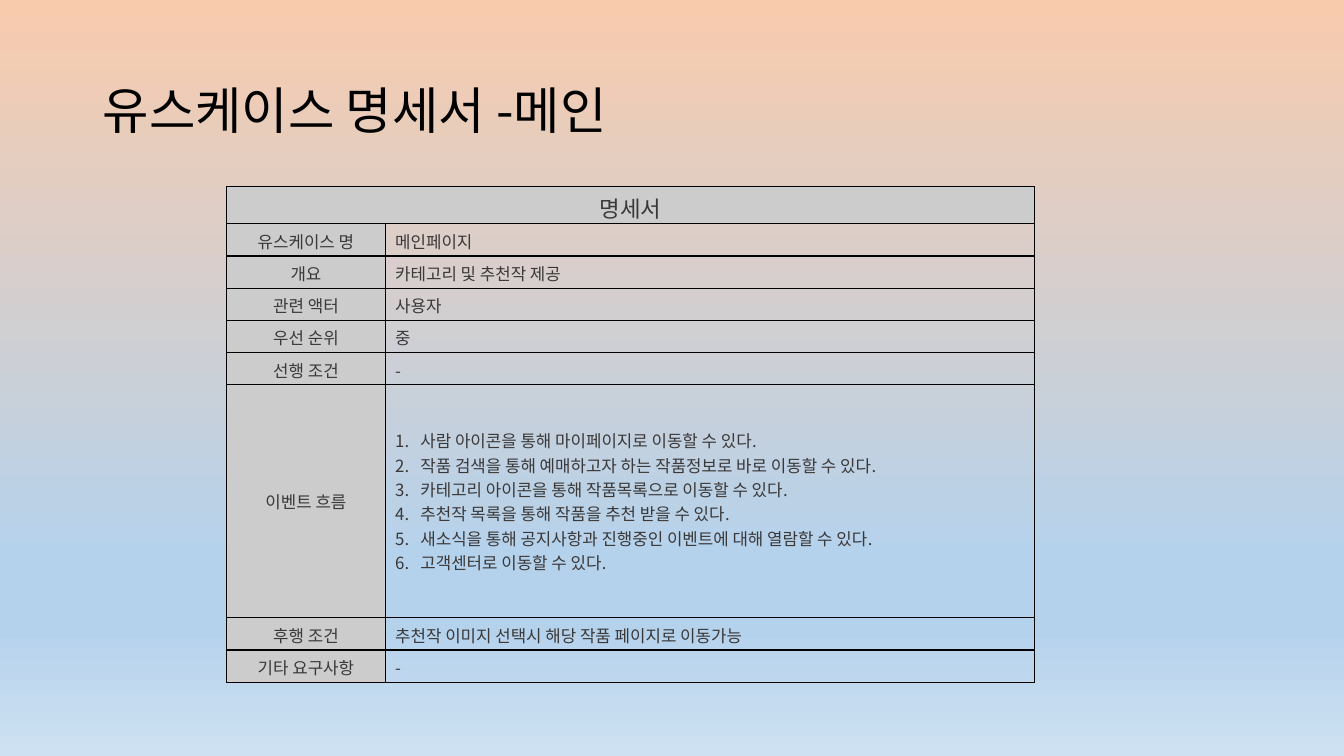
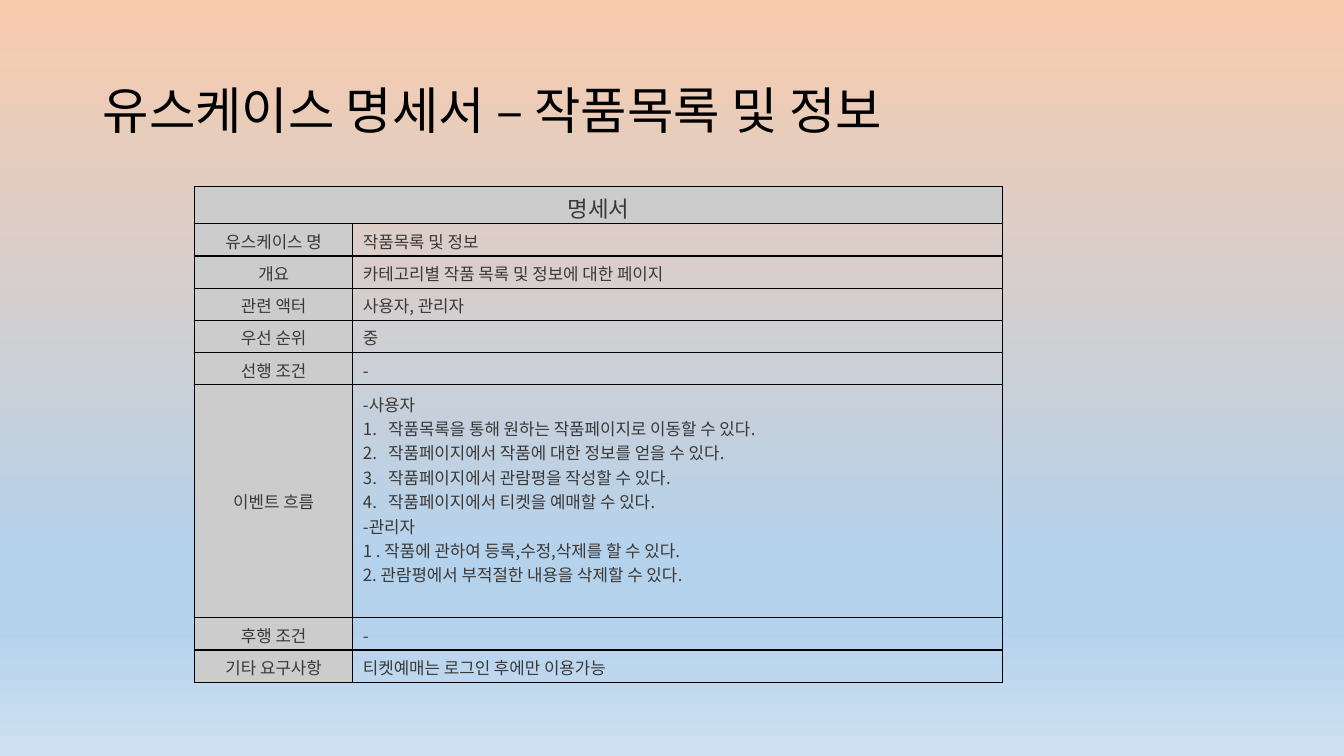
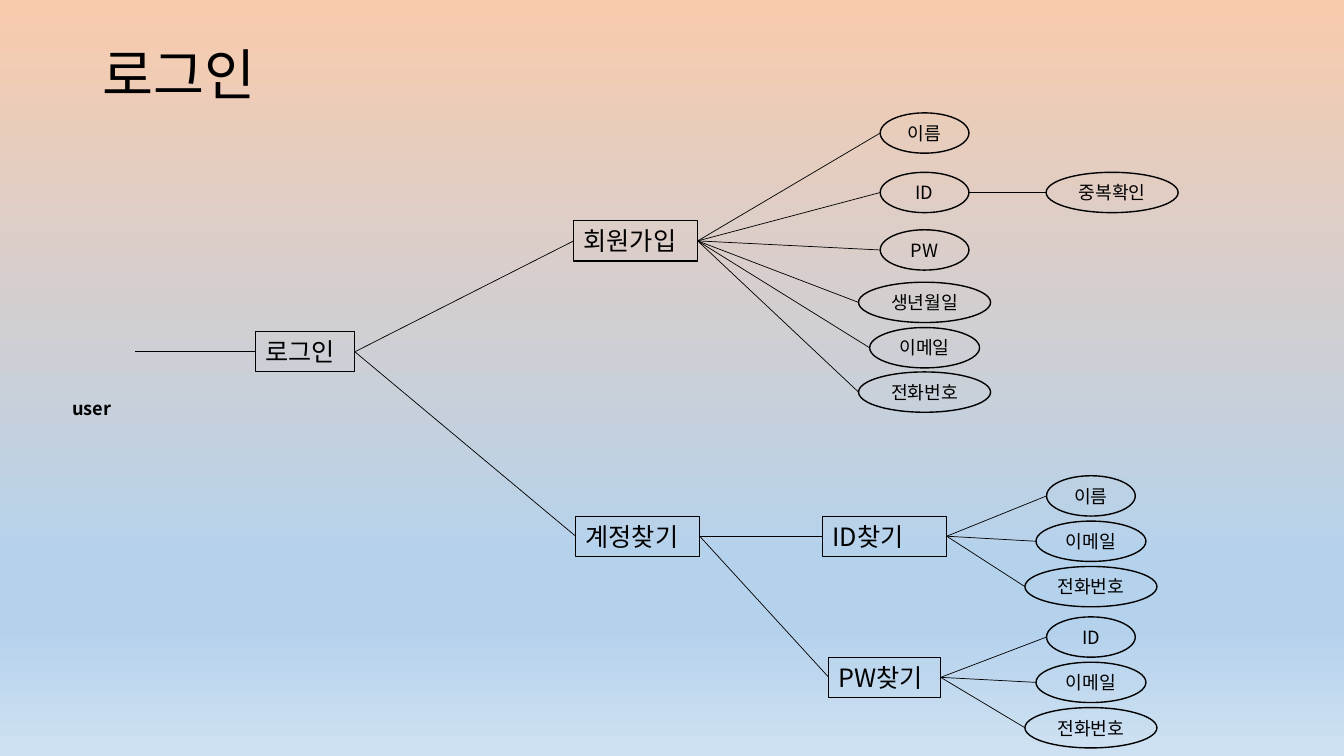
import pptx
import pptx.dml.color
import pptx.enum.shapes
import pptx.enum.text
import pptx.oxml
import pptx.oxml.ns
import pptx.util
import lxml.etree

FONT = "Noto Sans CJK KR"
INK, TEXT, GREY = "000000", "3A3838", "CCCCCC"
SKY = [(0, "F8CBAD"), (74, "B5D2EC"), (83, "B5D2EC"), (100, "CEE1F2")]
HEADS = ["유스케이스 명", "개요", "관련 액터", "우선 순위", "선행 조건",
         "이벤트 흐름", "후행 조건", "기타 요구사항"]
FLOW = HEADS.index("이벤트 흐름") + 1
OVALS = {2: 0.88, 3: 1.09, 4: 1.31}
HIGH = 0.4

Inches, Pt = pptx.util.Inches, pptx.util.Pt
KIND = pptx.enum.shapes.MSO_SHAPE
LEFT, MID = pptx.enum.text.PP_ALIGN.LEFT, pptx.enum.text.PP_ALIGN.CENTER
ANCHOR = pptx.enum.text.MSO_ANCHOR


def paint(code):
    """Turn a hex string into a colour."""
    return pptx.dml.color.RGBColor.from_string(code)


def child(node, tag, **attrs):
    """Append a drawing element to a node."""
    return lxml.etree.SubElement(node, pptx.oxml.ns.qn("a:" + tag), attrs)


def style(frame, size, color=INK, align=LEFT, bold=False):
    """Format every paragraph and run of a text frame."""
    frame.word_wrap = True
    for para in frame.paragraphs:
        para.alignment = align
        for run in para.runs:
            run.font.size, run.font.bold = Pt(size), bold
            run.font.color.rgb = paint(color)
            run.font.name = FONT
            child(run.font._element, "ea", typeface=FONT)


def backdrop(master):
    """Give the master its vertical gradient."""
    fill = master.background.fill
    fill.gradient()
    fill.gradient_angle = 270
    stops = fill.gradient_stops._gsLst
    for stop in list(stops):
        stops.remove(stop)
    for pos, code in SKY:
        stop = child(stops, "gs", pos=str(pos * 1000))
        child(stop, "srgbClr", val=code)


def label(slide, box, text, size, align=LEFT, bold=False, anchor=ANCHOR.TOP):
    """Place a text box and return its frame."""
    frame = slide.shapes.add_textbox(*map(Inches, box)).text_frame
    frame.text = text
    frame.vertical_anchor = anchor
    style(frame, size, align=align, bold=bold)
    return frame


def title(slide, text, size=36, box=(0.92, 0.4, 11.5, 1.45)):
    """Place the slide title."""
    frame = label(slide, box, text, size, anchor=ANCHOR.MIDDLE)
    frame.paragraphs[0].line_spacing = 0.9


def edge(cell):
    """Draw black borders round a table cell."""
    props = cell._tc.get_or_add_tcPr()
    for spot, side in enumerate(("lnL", "lnR", "lnT", "lnB")):
        line = child(props, side, w=str(Pt(1)))
        child(child(line, "solidFill"), "srgbClr", val=INK)
        props.insert(spot, line)


def number(para):
    """Number a paragraph with a hanging indent."""
    props = para._p.get_or_add_pPr()
    props.set("marL", str(Inches(0.25)))
    props.set("indent", str(-Inches(0.25)))
    child(child(props, "buClr"), "srgbClr", val=TEXT)
    child(props, "buFont", typeface="+mj-lt")
    child(props, "buAutoNum", type="arabicPeriod")


def write(cell, text, size=12, head=False):
    """Fill one cell as a heading or as a value."""
    cell.text = text
    cell.vertical_anchor = ANCHOR.MIDDLE
    if head:
        cell.fill.solid()
        cell.fill.fore_color.rgb = paint(GREY)
    else:
        cell.fill.background()
    style(cell.text_frame, size, TEXT, MID if head else LEFT)


def sheet(slide, left, top, values, steps, foot=0.05):
    """Build a use case table whose numbered steps are a range."""
    rows = len(HEADS) + 1
    table = slide.shapes.add_table(
        rows, 2, *map(Inches, (left, top, 8.01, 4.9))).table
    table.first_row = table.horz_banding = False
    for col, wide in zip(table.columns, (1.57, 6.44)):
        col.width = Inches(wide)
    for row in table.rows:
        row.height = Inches(0.32)
    table.rows[0].height, table.rows[FLOW].height = Inches(0.37), Inches(2.31)
    table.cell(0, 0).merge(table.cell(0, 1))
    write(table.cell(0, 0), "명세서", 16, True)
    for row, (head, value) in enumerate(zip(HEADS, values), 1):
        write(table.cell(row, 0), head, head=True)
        write(table.cell(row, 1), value)
    for row in range(rows):
        for col in range(2):
            edge(table.cell(row, col))
    flow = table.cell(FLOW, 1)
    flow.margin_bottom = Inches(foot)
    for step in steps:
        number(flow.text_frame.paragraphs[step])


def link(slide, start, end):
    """Join two points with a thin line."""
    line = slide.shapes.add_connector(
        pptx.enum.shapes.MSO_CONNECTOR.STRAIGHT,
        *map(Inches, (*start, *end)))
    line.line.width = Pt(0.5)
    line.line.color.rgb = paint(INK)
    child(line._element.spPr, "effectLst")


def node(slide, kind, left, mid, wide, text):
    """Draw an outlined node and return its right end."""
    oval = kind == KIND.OVAL
    shape = slide.shapes.add_shape(
        kind, *map(Inches, (left, mid - HIGH / 2, wide, HIGH)))
    shape.shadow.inherit = False
    shape.fill.background()
    shape.line.color.rgb = paint(INK)
    shape.line.width = Pt(1 if oval else 0.75)
    shape.text_frame.text = text
    shape.text_frame.vertical_anchor = ANCHOR.MIDDLE
    style(shape.text_frame, 13 if oval else 18, align=MID if oval else LEFT)
    return left + wide, mid


def block(slide, start, left, mid, wide, text):
    """Draw a step box joined to its parent."""
    link(slide, start, (left, mid))
    return node(slide, KIND.RECTANGLE, left, mid, wide, text)


def leaf(slide, start, center, mid, text):
    """Draw an oval joined to its parent."""
    wide = OVALS[len(text)]
    left = center - wide / 2
    link(slide, start, (left, mid))
    return node(slide, KIND.OVAL, left, mid, wide, text)


def fan(slide, start, center, items):
    """Draw a column of ovals and return their right ends."""
    return {text: leaf(slide, start, center, mid, text) for text, mid in items}


def tree(slide, left, top):
    """Draw the login tree from its top left corner."""
    label(slide, (left, top + 2.79, 0.62, 0.32), "user", 13, MID, True)
    login = block(slide, (left + 0.74, top + 2.39),
                  left + 1.93, top + 2.39, 0.99, "로그인")
    join = block(slide, login, left + 5.09, top + 1.29, 1.23, "회원가입")
    find = block(slide, login, left + 5.11, top + 4.22, 1.23, "계정찾기")
    mids = (0.22, 0.81, 1.38, 1.9, 2.35, 2.79)
    names = ("이름", "ID", "PW", "생년월일", "이메일", "전화번호")
    ends = fan(slide, join, left + 8.57,
               [(name, top + mid) for name, mid in zip(names, mids)])
    leaf(slide, ends["ID"], left + 10.43, top + 0.81, "중복확인")
    for key, first, side, mid, wide in (("ID찾기", "이름", 7.56, 4.22, 1.23),
                                        ("PW찾기", "ID", 7.62, 5.62, 1.11)):
        start = block(slide, find, left + side, top + mid, wide, key)
        fan(slide, start, left + 10.22,
            [(name, top + mid - 0.4 + 0.45 * spot) for spot, name
             in enumerate((first, "이메일", "전화번호"))])


def main():
    """Build and save the slides."""
    deck = pptx.Presentation()
    deck.slide_width, deck.slide_height = Inches(13.33), Inches(7.5)
    backdrop(deck.slide_master)
    first, second, third = [
        deck.slides.add_slide(deck.slide_layouts[6]) for _ in range(3)]

    title(first, "유스케이스 명세서 -메인")
    sheet(first, 2.25, 1.85, [
        "메인페이지", "카테고리 및 추천작 제공", "사용자", "중", "-",
        "사람 아이콘을 통해 마이페이지로 이동할 수 있다.\n"
        "작품 검색을 통해 예매하고자 하는 작품정보로 바로 이동할 수 있다.\n"
        "카테고리 아이콘을 통해 작품목록으로 이동할 수 있다.\n"
        "추천작 목록을 통해 작품을 추천 받을 수 있다.\n"
        "새소식을 통해 공지사항과 진행중인 이벤트에 대해 열람할 수 있다.\n"
        "고객센터로 이동할 수 있다.",
        "추천작 이미지 선택시 해당 작품 페이지로 이동가능", "-"], range(6))

    title(second, "유스케이스 명세서 – 작품목록 및 정보")
    sheet(second, 1.93, 1.85, [
        "작품목록 및 정보", "카테고리별 작품 목록 및 정보에 대한 페이지",
        "사용자, 관리자", "중", "-",
        "-사용자\n"
        "작품목록을 통해 원하는 작품페이지로 이동할 수 있다.\n"
        "작품페이지에서 작품에 대한 정보를 얻을 수 있다.\n"
        "작품페이지에서 관람평을 작성할 수 있다.\n"
        "작품페이지에서 티켓을 예매할 수 있다.\n"
        "-관리자\n"
        "1 . 작품에 관하여 등록,수정,삭제를 할 수 있다.\n"
        "2. 관람평에서 부적절한 내용을 삭제할 수 있다.",
        "-", "티켓예매는 로그인 후에만 이용가능"], range(1, 5), 0.29)

    title(third, "로그인", 39.6, (0.92, 0.4, 3.23, 0.73))
    tree(third, 0.6, 1.1)
    deck.save("out.pptx")


if __name__ == "__main__":
    main()
